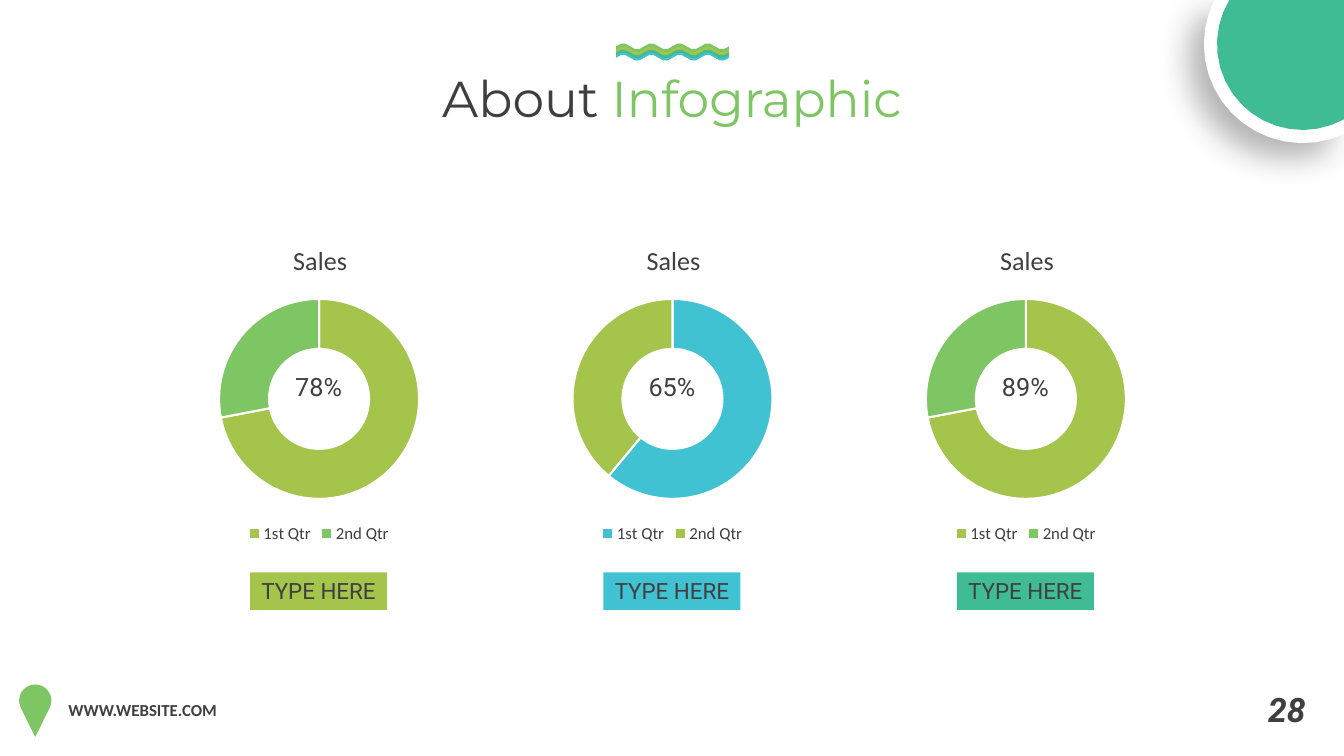
import math

import lxml.etree
import pptx
import pptx.chart.data
import pptx.dml.color
import pptx.enum.chart
import pptx.enum.shapes
import pptx.enum.text
import pptx.oxml.ns
import pptx.util

Inches = pptx.util.Inches
Pt = pptx.util.Pt
qn = pptx.oxml.ns.qn

DARK, WHITE = "3F3F3F", "FFFFFF"
GREEN, OLIVE, TEAL, CYAN = "7EC564", "A5C44B", "3FBC96", "40C2D2"
CENTER = pptx.enum.text.PP_ALIGN.CENTER
LEFT = pptx.enum.text.PP_ALIGN.LEFT

SLIDE_WIDTH = 13.33
COLUMN_STEP = 7.01 / 2
COLUMNS = [
    ("78%", (72, 28), (OLIVE, GREEN), OLIVE),
    ("65%", (61, 39), (CYAN, OLIVE), CYAN),
    ("89%", (72, 28), (OLIVE, GREEN), TEAL),
]


def rgb(color):
    return pptx.dml.color.RGBColor.from_string(color)


def paint(shape, color):
    shape.shadow.inherit = False
    shape.fill.solid()
    shape.fill.fore_color.rgb = rgb(color)
    shape.line.fill.background()


def style_font(font, size, color=DARK, name="Calibri", bold=False, italic=False):
    font.size = Pt(size)
    font.color.rgb = rgb(color)
    font.name = name
    font.bold = bold
    font.italic = italic


def write(frame, text, size, name="Roboto", color=DARK, align=LEFT, wrap=True,
          bold=False, italic=False, accent="", accent_color=GREEN):
    frame.word_wrap = wrap
    frame.vertical_anchor = pptx.enum.text.MSO_ANCHOR.TOP
    paragraph = frame.paragraphs[0]
    paragraph.alignment = align
    for words, shade in ((text, color), (accent, accent_color)):
        if words:
            run = paragraph.add_run()
            run.text = words
            style_font(run.font, size, shade, name, bold, italic)


def add_label(slide, box, text, size, **style):
    label = slide.shapes.add_textbox(*map(Inches, box))
    write(label.text_frame, text, size, **style)


def add_badge(slide, box, text, color):
    badge = slide.shapes.add_shape(
        pptx.enum.shapes.MSO_SHAPE.RECTANGLE, *map(Inches, box))
    paint(badge, color)
    write(badge.text_frame, text, 16, align=CENTER, wrap=False)


def add_outline(slide, points, color):
    start, *rest = [(Inches(x), Inches(y)) for x, y in points]
    builder = slide.shapes.build_freeform(*start, scale=1.0)
    builder.add_line_segments(rest, close=True)
    outline = builder.convert_to_shape()
    paint(outline, color)
    return outline


def add_shadow(shape, blur, distance, angle, opacity):
    effects = shape._element.spPr.find(qn("a:effectLst"))
    shadow = lxml.etree.SubElement(
        effects, qn("a:outerShdw"), blurRad=str(Pt(blur)), dist=str(Pt(distance)),
        dir=str(angle * 60000), algn="ctr", rotWithShape="0")
    shade = lxml.etree.SubElement(shadow, qn("a:srgbClr"), val="000000")
    lxml.etree.SubElement(shade, qn("a:alpha"), val=str(opacity * 1000))


def arc(center_x, center_y, radius, first, last, steps=16):
    angles = [first + (last - first) * i / steps for i in range(steps + 1)]
    return [(center_x + radius * math.cos(a), center_y + radius * math.sin(a))
            for a in angles]


def add_corner_disc(slide, radius, color):
    center_x, center_y = 12.92, 0.44
    first = math.pi + math.asin(center_y / radius)
    last = math.acos((SLIDE_WIDTH - center_x) / radius)
    rim = arc(center_x, center_y, radius, first, last)
    return add_outline(slide, rim + [(SLIDE_WIDTH, 0)], color)


def add_wave(slide, top, color):
    left, period, count, steps = 6.11, 0.28, 4, 24
    offsets = [period * count * i / steps for i in range(steps + 1)]

    def edge(level):
        return [(left + x, level - 0.03 * math.sin(2 * math.pi * x / period))
                for x in offsets]

    add_outline(slide, edge(top) + edge(0.57)[::-1], color)


def add_pin(slide):
    center_x, center_y, radius, tip = 0.35, 6.95, 0.16, 7.31
    tangent = math.asin(radius / (tip - center_y))
    head = arc(center_x, center_y, radius, math.pi - tangent, 2 * math.pi + tangent)
    add_outline(slide, head + [(center_x, tip)], GREEN)


def set_layout(parent, index, **settings):
    for old in parent.findall(qn("c:layout")):
        parent.remove(old)
    layout = lxml.etree.Element(qn("c:layout"))
    manual = lxml.etree.SubElement(layout, qn("c:manualLayout"))
    for key, value in settings.items():
        lxml.etree.SubElement(manual, qn("c:" + key), val=str(value))
    parent.insert(index, layout)


def add_doughnut(slide, box, values, colors):
    data = pptx.chart.data.CategoryChartData()
    data.categories = ["1st Qtr", "2nd Qtr"]
    data.add_series("Series 1", values)
    chart = slide.shapes.add_chart(
        pptx.enum.chart.XL_CHART_TYPE.DOUGHNUT, *map(Inches, box), data).chart
    style_font(chart.font, 10)

    chart.has_title = True
    write(chart.chart_title.text_frame, "Sales", 18.6, name="Calibri", align=CENTER)
    set_layout(chart.chart_title._element, 1,
               xMode="edge", yMode="edge", x=0.41, y=0.04)

    chart.has_legend = True
    chart.legend.position = pptx.enum.chart.XL_LEGEND_POSITION.BOTTOM
    chart.legend.include_in_layout = False
    style_font(chart.legend.font, 12)

    plot = chart.plots[0]
    plot.vary_by_categories = True
    plot.has_data_labels = False
    plot._element.find(qn("c:holeSize")).set("val", "75")
    set_layout(plot._element.getparent(), 0, layoutTarget="inner",
               xMode="edge", yMode="edge", x=0.2, y=0.23, w=0.6, h=0.62)
    for index, color in enumerate(colors):
        ring_part = plot.series[0].points[index].format
        ring_part.fill.solid()
        ring_part.fill.fore_color.rgb = rgb(color)
        ring_part.line.color.rgb = rgb(WHITE)
        ring_part.line.width = Pt(1.5)


def main():
    deck = pptx.Presentation()
    deck.slide_width = Inches(SLIDE_WIDTH)
    deck.slide_height = Inches(7.5)
    slide = deck.slides.add_slide(deck.slide_layouts[6])

    add_label(slide, (12.48, 6.79, 0.59, 0.5), "28", 24,
              bold=True, italic=True, wrap=False)
    add_pin(slide)
    add_label(slide, (0.58, 6.89, 2.53, 0.3), "WWW.WEBSITE.COM", 12,
              name="Calibri", bold=True)

    rim = add_corner_disc(slide, 0.98, WHITE)
    add_shadow(rim, blur=23, distance=15, angle=135, opacity=29)
    add_corner_disc(slide, 0.85, TEAL)

    add_label(slide, (4.1, 0.62, 5.13, 0.71), "About ", 36, name="Montserrat",
              align=CENTER, wrap=False, accent="Infographic")
    for level, color in enumerate((GREEN, OLIVE, TEAL, CYAN)):
        add_wave(slide, 0.46 + 0.03 * level, color)

    for column, (share, values, colors, badge_color) in enumerate(COLUMNS):
        shift = column * COLUMN_STEP
        add_doughnut(slide, (1.48 + shift, 2.23, 3.37, 3.2), values, colors)
        add_badge(slide, (2.48 + shift, 5.68, 1.36, 0.37), "TYPE HERE", badge_color)
        add_label(slide, (2.57 + shift, 3.63, 1.18, 0.4), share, 18, align=CENTER)

    deck.save("out.pptx")


if __name__ == "__main__":
    main()
